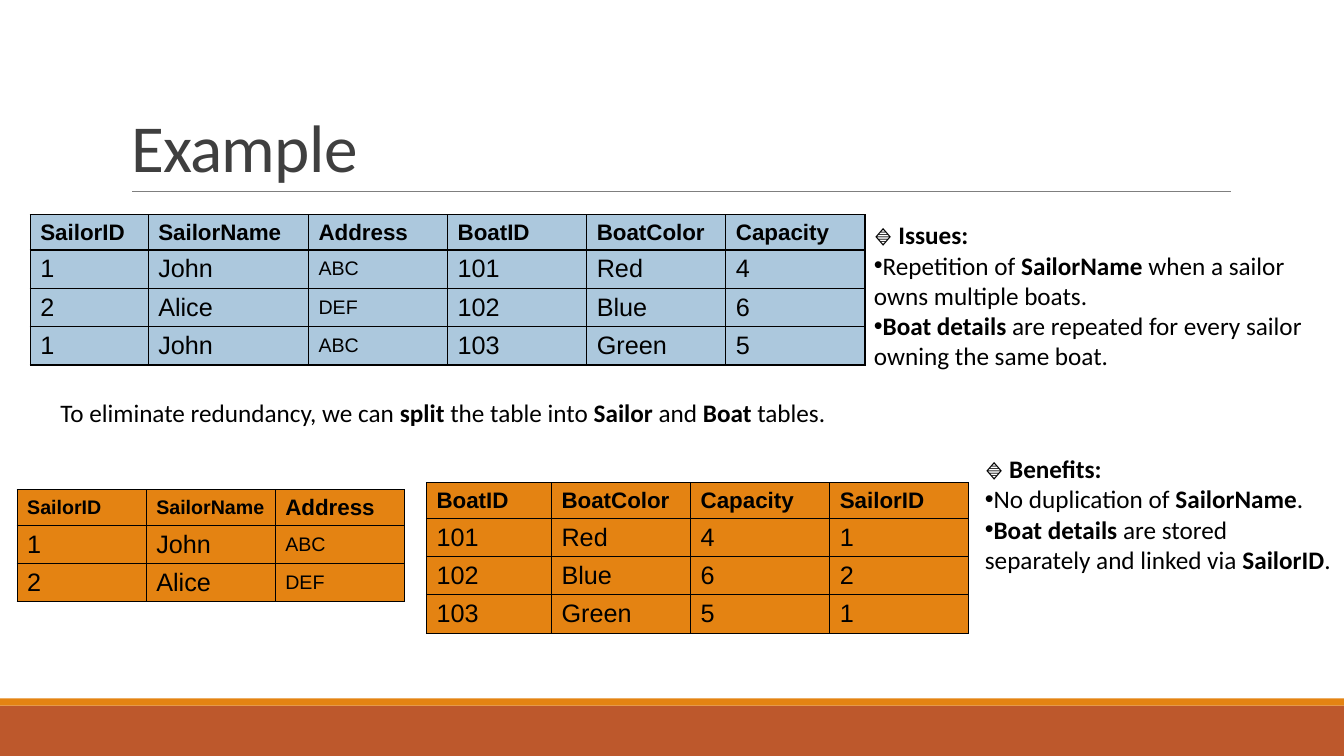
"""Build a slide that splits a redundant sailor and boat table into two tables."""
import pptx
import pptx.dml.color
import pptx.enum.shapes
import pptx.enum.text
import pptx.oxml
import pptx.oxml.ns
import pptx.util
from pptx.util import Inches

COLORS = {"black": "000000", "title": "3F3F3F", "rule": "7F7F7F", "blue": "ACC8DD",
          "orange": "E48312", "rust": "BD582C"}
NS = pptx.oxml.ns.nsdecls("a")


def rgb(name):
    return pptx.dml.color.RGBColor.from_string(COLORS[name])


def add_run(paragraph, text, size, bold=False, face="Calibri", color="black"):
    run = paragraph.add_run()
    run.text = text
    run.font.size = pptx.util.Pt(size)
    run.font.bold = bold
    run.font.name = face
    run.font.color.rgb = rgb(color)
    return run


deck = pptx.Presentation()
deck.slide_width, deck.slide_height = Inches(13.33), Inches(7.5)
slide = deck.slides.add_slide(deck.slide_layouts[5])

for top, height, color in [(7, 0.5, "rust"), (6.93, 0.07, "orange")]:
    band = slide.shapes.add_shape(pptx.enum.shapes.MSO_SHAPE.RECTANGLE,
                                  0, Inches(top), Inches(13.33), Inches(height))
    band.shadow.inherit = False
    band.fill.solid()
    band.fill.fore_color.rgb = rgb(color)
    band.line.fill.background()

title_rule = slide.shapes.add_connector(pptx.enum.shapes.MSO_CONNECTOR.STRAIGHT,
                                        Inches(1.31), Inches(1.9), Inches(12.21), Inches(1.9))
title_rule.line.color.rgb = rgb("rule")
title_rule.line.width = pptx.util.Pt(0.75)
title_rule._element.spPr.append(pptx.oxml.parse_xml(f"<a:effectLst {NS}/>"))

title = slide.shapes.title
title.left, title.top, title.width, title.height = map(Inches, (1.2, 0.31, 11, 1.59))
title.text_frame.auto_size = pptx.enum.text.MSO_AUTO_SIZE.NONE
title.text_frame.vertical_anchor = pptx.enum.text.MSO_ANCHOR.BOTTOM
heading = title.text_frame.paragraphs[0]
heading.alignment = pptx.enum.text.PP_ALIGN.LEFT
heading.line_spacing = 0.85
heading_run = add_run(heading, "Example", 48, color="title")
heading_run.font._element.set("spc", "-50")

HEADER_HEIGHT, ROW_HEIGHT = 0.35, 0.38
tables = [
    (0.3, 2.13, "blue", [1.17, 1.59] + [1.38] * 4, [16] * 6, [
        ["SailorID", "SailorName", "Address", "BoatID", "BoatColor", "Capacity"],
        ["1", "John", "ABC", "101", "Red", "4"],
        ["2", "Alice", "DEF", "102", "Blue", "6"],
        ["1", "John", "ABC", "103", "Green", "5"]]),
    (0.17, 4.86, "orange", [1.28] * 3, [14, 14, 16], [
        ["SailorID", "SailorName", "Address"],
        ["1", "John", "ABC"],
        ["2", "Alice", "DEF"]]),
    (4.23, 4.79, "orange", [1.24] + [1.38] * 3, [16] * 4, [
        ["BoatID", "BoatColor", "Capacity", "SailorID"],
        ["101", "Red", "4", "1"],
        ["102", "Blue", "6", "2"],
        ["103", "Green", "5", "1"]]),
]
for left, top, color, widths, header_sizes, records in tables:
    height = HEADER_HEIGHT + ROW_HEIGHT * (len(records) - 1)
    table = slide.shapes.add_table(len(records), len(widths), Inches(left), Inches(top),
                                   Inches(sum(widths)), Inches(height)).table
    table.first_row = table.horz_banding = False
    for column, width in zip(table.columns, widths):
        column.width = Inches(width)
    for r, record in enumerate(records):
        table.rows[r].height = Inches(ROW_HEIGHT if r else HEADER_HEIGHT)
        for c, value in enumerate(record):
            cell = table.cell(r, c)
            cell.vertical_anchor = pptx.enum.text.MSO_ANCHOR.MIDDLE
            for side in "LRTB":
                cell._tc.get_or_add_tcPr().append(pptx.oxml.parse_xml(
                    f'<a:ln{side} {NS} w="12700"><a:solidFill><a:srgbClr val="{COLORS["black"]}"/>'
                    f'</a:solidFill></a:ln{side}>'))
            cell.fill.solid()
            cell.fill.fore_color.rgb = rgb(color)
            body_size = 14 if records[0][c] == "Address" else 18
            add_run(cell.text_frame.paragraphs[0], value,
                    body_size if r else header_sizes[c], r == 0, "Arial")

notes = [
    (8.57, 2.13, 4.47, 1.62, [
        [("🔹 ", False), ("Issues:", True)],
        [("Repetition of ", False), ("SailorName", True),
         (" when a sailor owns multiple boats.", False)],
        [("Boat details", True), (" are repeated for every sailor owning the same boat.", False)]]),
    (9.67, 4.45, 3.66, 1.31, [
        [("🔹 ", False), ("Benefits:", True)],
        [("No duplication of ", False), ("SailorName", True), (".", False)],
        [("Boat details", True), (" are stored separately and linked via ", False),
         ("SailorID", True), (".", False)]]),
    (0.5, 3.89, 8.45, 0.4, [
        [("To eliminate redundancy, we can ", False), ("split", True), (" the table into ", False),
         ("Sailor", True), (" and ", False), ("Boat", True), (" tables.", False)]]),
]
for left, top, width, height, lines in notes:
    frame = slide.shapes.add_textbox(*map(Inches, (left, top, width, height))).text_frame
    frame.word_wrap = True
    frame.auto_size = pptx.enum.text.MSO_AUTO_SIZE.SHAPE_TO_FIT_TEXT
    for i, pieces in enumerate(lines):
        paragraph = frame.add_paragraph() if i else frame.paragraphs[0]
        if i:
            properties = paragraph._p.get_or_add_pPr()
            properties.set("marL", "0")
            properties.set("indent", str(Inches(-0.12)))
            for xml in (f'<a:buClr {NS}><a:srgbClr val="{COLORS["black"]}"/></a:buClr>',
                        f'<a:buFont {NS} typeface="Arial"/>', f'<a:buChar {NS} char="•"/>'):
                properties.append(pptx.oxml.parse_xml(xml))
        for text, bold in pieces:
            add_run(paragraph, text, 18, bold)

deck.save("out.pptx")
